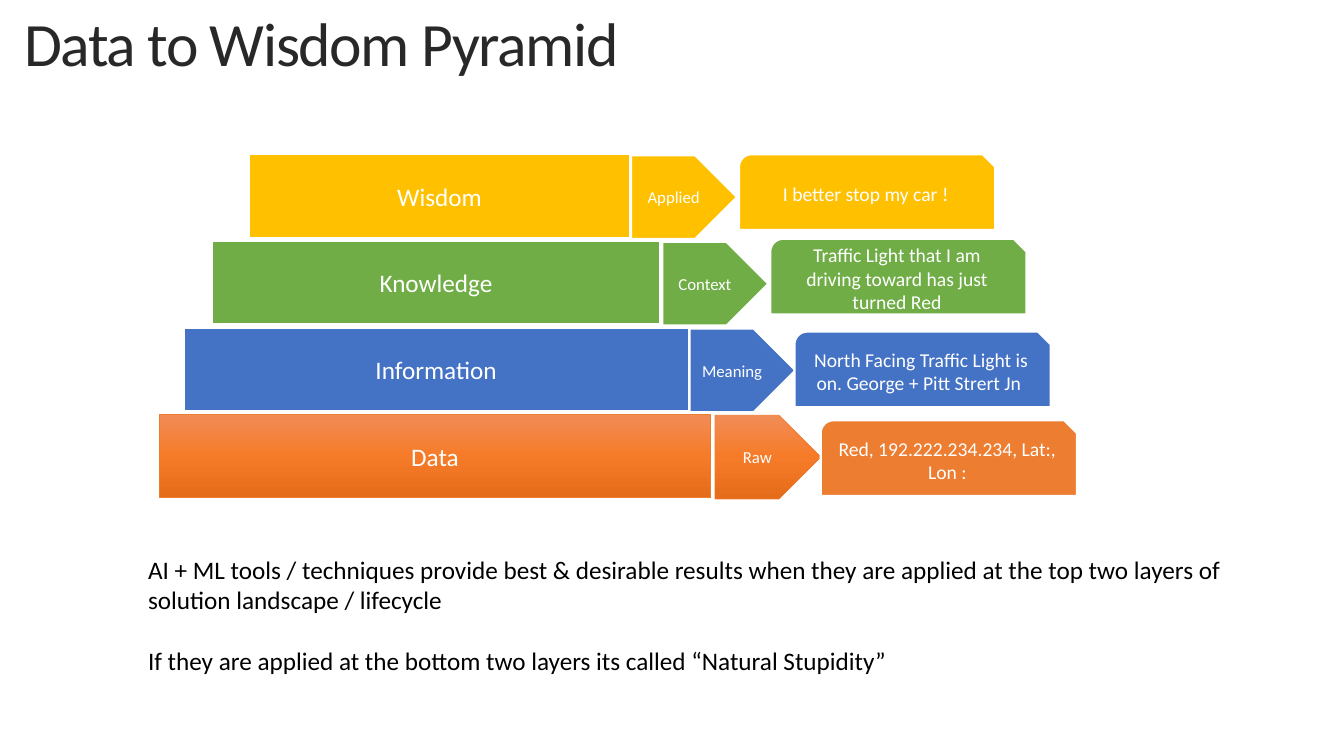
from copy import deepcopy

from pptx import Presentation
from pptx.dml.color import RGBColor
from pptx.enum.shapes import MSO_SHAPE
from pptx.enum.text import MSO_ANCHOR, MSO_AUTO_SIZE, PP_ALIGN
from pptx.util import Inches, Pt

COLORS = {
    "wisdom": "FFC000", "knowledge": "70AD47", "information": "4472C4", "data": "ED7D31",
    "white": "FFFFFF", "black": "000000", "title": "282828",
    "light": "F18C57", "middle": "F67B28", "dark": "E56C19",
}
DATA_GRADIENT = [(0, "light"), (0.5, "middle"), (1, "dark")]

# name, colour, bar left, bar width, step, arrow left, example, example left, example top
LAYERS = [
    ("Wisdom", "wisdom", 2.47, 3.78, "Applied", 6.26,
     "I better stop my car !", 7.33, 1.53),
    ("Knowledge", "knowledge", 2.1, 4.45, "Context", 6.57,
     "Traffic Light that I am driving toward has just turned Red", 7.64, 2.37),
    ("Information", "information", 1.82, 5.01, "Meaning", 6.84,
     "North Facing Traffic Light is on. George + Pitt Strert Jn ", 7.88, 3.29),
    ("Data", "data", 1.58, 5.47, "Raw", 7.09,
     "Red, 192.222.234.234, Lat:, Lon :", 8.14, 4.17),
]
BAR_TOP, BAR_PITCH, BAR_HEIGHT = 1.53, 0.86, 0.83

NOTES = [
    "AI + ML tools / techniques provide best & desirable results when they are "
    "applied at the top two layers of solution landscape / lifecycle",
    "If they are applied at the bottom two layers its called “Natural Stupidity”",
]


def rgb(name):
    return RGBColor.from_string(COLORS[name])


def write(p, text, size=18, color="white", align=None, spacing=None, tracking=None, before=None):
    """Fill a paragraph with one formatted run; tracking is in points."""
    p.alignment = align
    p.line_spacing = spacing
    if before is not None:
        p.space_before = Pt(before)
    r = p.add_run()
    r.text = text
    r.font.name = "Calibri"
    r.font.size = Pt(size)
    r.font.color.rgb = rgb(color)
    if tracking is not None:
        r.font._element.set("spc", str(int(tracking * 100)))


class Slide:
    def __init__(self, prs):
        self.s = prs.slides.add_slide(prs.slide_layouts[6])

    def shape(self, kind, box, text, size, color, gradient=None):
        sp = self.s.shapes.add_shape(kind, *map(Inches, box))
        sp.shadow.inherit = False
        if gradient:
            self.fill_gradient(sp, gradient)
        else:
            sp.fill.solid()
            sp.fill.fore_color.rgb = rgb(color)
        sp.line.color.rgb = rgb(color if gradient else "white")
        sp.line.width = Pt(0.5 if gradient else 1.5)
        tf = sp.text_frame
        tf.word_wrap = True
        tf.vertical_anchor = MSO_ANCHOR.MIDDLE
        write(tf.paragraphs[0], text, size=size, align=PP_ALIGN.CENTER)

    def fill_gradient(self, sp, stops):
        """Apply a top-to-bottom gradient with three stops."""
        sp.fill.gradient()
        sp.fill.gradient_angle = 270
        stop_list = sp._element.spPr.xpath("a:gradFill/a:gsLst")[0]
        stop_list.append(deepcopy(stop_list[0]))
        for stop, (position, color) in zip(sp.fill.gradient_stops, stops):
            stop.position = position
            stop.color.rgb = rgb(color)

    def text(self, box, paragraphs, grow=False, gap=None, **style):
        tf = self.s.shapes.add_textbox(*map(Inches, box)).text_frame
        tf.word_wrap = True
        if grow:
            tf.auto_size = MSO_AUTO_SIZE.SHAPE_TO_FIT_TEXT
        for i, text in enumerate(paragraphs):
            p = tf.add_paragraph() if i else tf.paragraphs[0]
            write(p, text, before=gap if i else None, **style)


def main():
    prs = Presentation()
    prs.slide_width, prs.slide_height = Inches(13.33), Inches(7.5)
    slide = Slide(prs)
    slide.text((0.14, 0.08, 13.2, 0.89), ["Data to Wisdom Pyramid"],
               size=44, color="title", spacing=0.9, tracking=-1)

    for i, (name, color, left, width, step, arrow_left,
            example, example_left, example_top) in enumerate(LAYERS):
        top = BAR_TOP + i * BAR_PITCH
        gradient = DATA_GRADIENT if color == "data" else None
        slide.shape(MSO_SHAPE.RECTANGLE, (left, top, width, BAR_HEIGHT),
                    name, 18, color, gradient)
        slide.shape(MSO_SHAPE.PENTAGON, (arrow_left, top + 0.01, 1.05, BAR_HEIGHT),
                    step, 12, color, gradient)
        slide.shape(MSO_SHAPE.SNIP_ROUND_RECTANGLE, (example_left, example_top, 2.54, 0.75),
                    example, 14, color)

    slide.text((1.37, 5.45, 10.94, 1.31), NOTES, grow=True, gap=22, color="black")
    prs.save("out.pptx")


if __name__ == "__main__":
    main()
